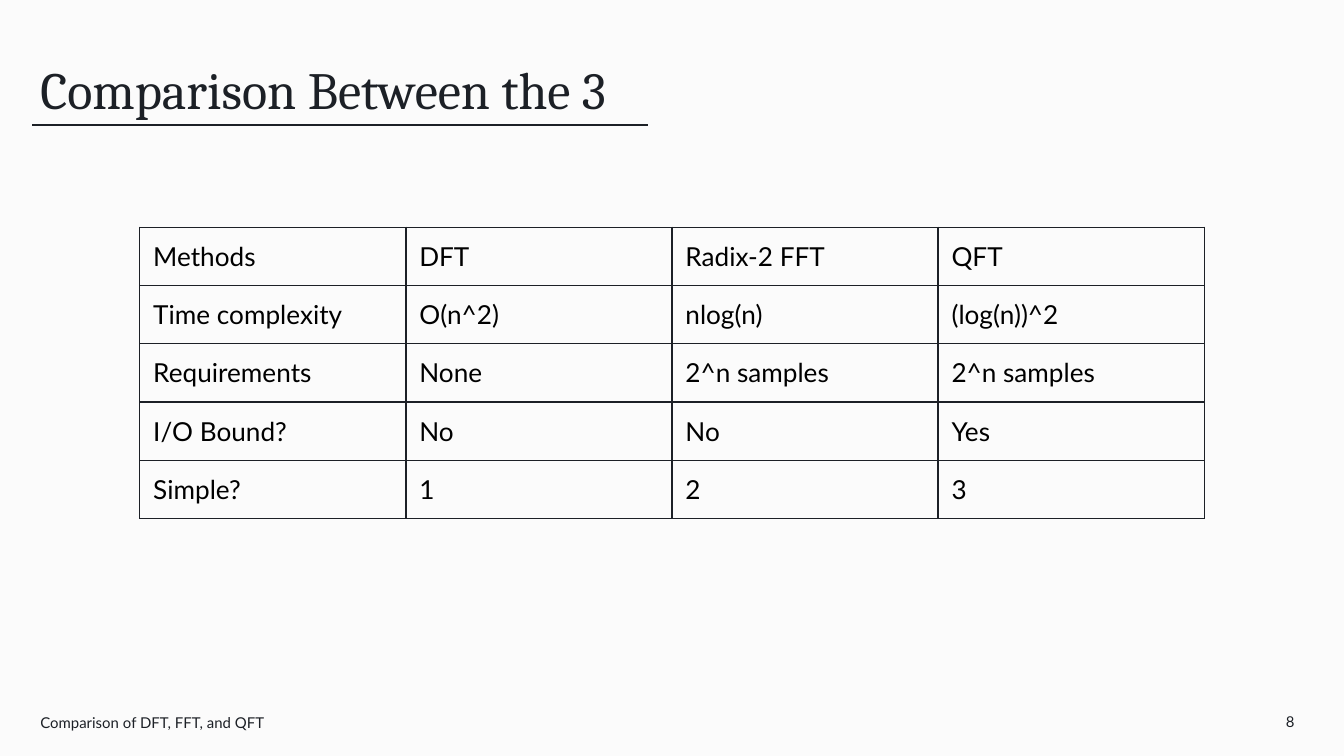
from lxml.etree import SubElement
from pptx import Presentation
from pptx.dml.color import RGBColor
from pptx.enum.shapes import MSO_CONNECTOR
from pptx.enum.text import MSO_ANCHOR, MSO_AUTO_SIZE
from pptx.oxml.ns import qn
from pptx.util import Pt

INK = RGBColor(0x1C, 0x20, 0x26)
BLACK = RGBColor(0, 0, 0)
PAPER = RGBColor(0xFB, 0xFB, 0xFB)

TEXTS = [
    {"text": "Comparison Between the 3", "place": (21.6, 36, 506.88, 28.8),
     "font": "Cambria", "size": 28, "inset": 0, "spacing": 0.85,
     "anchor": MSO_ANCHOR.TOP, "fit": MSO_AUTO_SIZE.SHAPE_TO_FIT_TEXT},
    {"text": "8", "place": (681.84, 379.44, 26.64, 14.4),
     "font": "Lato", "size": 8, "inset": 7.2, "spacing": 1.0,
     "anchor": MSO_ANCHOR.MIDDLE, "fit": MSO_AUTO_SIZE.NONE},
    {"text": "Comparison of DFT, FFT, and QFT", "place": (21.6, 379.44, 158.4, 14.4),
     "font": "Lato", "size": 8, "inset": 0, "spacing": 1.15,
     "anchor": MSO_ANCHOR.MIDDLE, "fit": MSO_AUTO_SIZE.NONE},
]
RULE = (17.28, 66.96, 347.04, 66.96)
METHODS = [
    ("Methods", "DFT", "Radix-2 FFT", "QFT"),
    ("Time complexity", "O(n^2)", "nlog(n)", "(log(n))^2"),
    ("Requirements", "None", "2^n samples", "2^n samples"),
    ("I/O Bound?", "No", "No", "Yes"),
    ("Simple?", "1", "2", "3"),
]
TABLE_LEFT, TABLE_TOP = 74.88, 121.68
COLUMN_WIDTH, ROW_HEIGHT = 142.56, 31.2
LINE_WIDTH = 0.75


def set_values(target, values):
    for name, value in values.items():
        setattr(target, name, value)


def set_font(font, name, size, color):
    set_values(font, {"name": name, "size": Pt(size)})
    font.color.rgb = color


def margins(inset):
    sides = ("left", "top", "right", "bottom")
    return {f"margin_{side}": Pt(inset) for side in sides}


def add_text(page, item):
    box = page.shapes.add_textbox(*map(Pt, item["place"]))
    frame = box.text_frame
    set_values(frame, {"word_wrap": True, "auto_size": item["fit"],
                       "vertical_anchor": item["anchor"], **margins(item["inset"])})
    para = frame.paragraphs[0]
    para.line_spacing = item["spacing"]
    span = para.add_run()
    span.text = item["text"]
    set_font(span.font, item["font"], item["size"], INK)


def add_rule(page):
    rule = page.shapes.add_connector(MSO_CONNECTOR.STRAIGHT, *map(Pt, RULE))
    rule.line.color.rgb = INK
    rule.line.width = Pt(LINE_WIDTH)
    SubElement(rule._element.spPr, qn("a:effectLst"))


def add_borders(cell):
    properties = cell._tc.get_or_add_tcPr()
    for side in ("lnL", "lnR", "lnT", "lnB"):
        border = SubElement(properties, qn(f"a:{side}"), w=str(Pt(LINE_WIDTH)))
        fill = SubElement(border, qn("a:solidFill"))
        SubElement(fill, qn("a:srgbClr"), val=str(INK))


def add_methods(page):
    row_count, column_count = len(METHODS), len(METHODS[0])
    frame = page.shapes.add_table(
        row_count, column_count, Pt(TABLE_LEFT), Pt(TABLE_TOP),
        Pt(COLUMN_WIDTH * column_count), Pt(ROW_HEIGHT * row_count))
    table = frame.table
    set_values(table, {"first_row": False, "horz_banding": False})
    for column in table.columns:
        column.width = Pt(COLUMN_WIDTH)
    for row, texts in zip(table.rows, METHODS):
        row.height = Pt(ROW_HEIGHT)
        for cell, text in zip(row.cells, texts):
            set_values(cell, margins(7.2))
            add_borders(cell)
            cell.fill.background()
            span = cell.text_frame.paragraphs[0].add_run()
            span.text = text
            set_font(span.font, "Lato", 14, BLACK)


def main():
    deck = Presentation()
    set_values(deck, {"slide_width": Pt(720), "slide_height": Pt(405)})
    page = deck.slides.add_slide(deck.slide_layouts[6])
    page.background.fill.solid()
    page.background.fill.fore_color.rgb = PAPER
    for item in TEXTS:
        add_text(page, item)
    add_rule(page)
    add_methods(page)
    deck.save("out.pptx")


if __name__ == "__main__":
    main()
